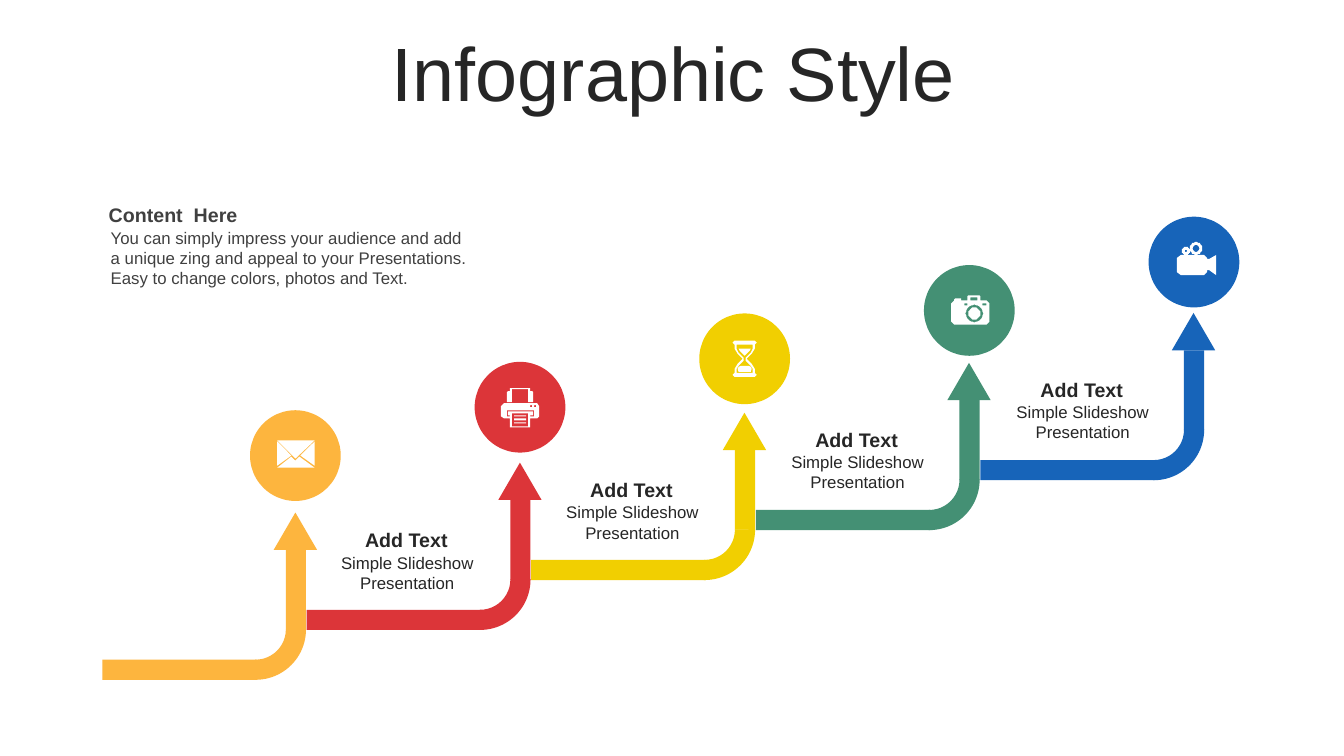
import math

import pptx
import pptx.dml.color
import pptx.enum.shapes
import pptx.enum.text
import pptx.util

RGBColor = pptx.dml.color.RGBColor
SHAPE = pptx.enum.shapes.MSO_SHAPE
ALIGN = pptx.enum.text.PP_ALIGN
ANCHOR = pptx.enum.text.MSO_ANCHOR

ORANGE = RGBColor(0xFD, 0xB5, 0x3E)
RED = RGBColor(0xDC, 0x35, 0x39)
YELLOW = RGBColor(0xF1, 0xCF, 0x01)
GREEN = RGBColor(0x44, 0x90, 0x74)
BLUE = RGBColor(0x17, 0x64, 0xB9)
WHITE = RGBColor(0xFF, 0xFF, 0xFF)
INK = RGBColor(0x26, 0x26, 0x26)
GREY = RGBColor(0x40, 0x40, 0x40)

CELL = pptx.util.Inches(0.1)
ICON_UNIT = CELL / 10


def box(left, top, right, bottom):
    return [(left, top), (right, top), (right, bottom), (left, bottom)]


def ring(x, y, radius, sides=32):
    angles = [2 * math.pi * side / sides for side in range(sides)]
    return [(x + radius * math.cos(a), y + radius * math.sin(a)) for a in angles]


ENVELOPE = [
    [(4, 1), (19, 12), (-18, 12), (-4, 1), (0, 5)],
    [(19, -14), (19, 10), (5, 0)],
    [(-18, -14), (-4, 0), (-18, 10)],
    [(-18, -15), (19, -15), (0, 3)],
]
PRINTER = [
    box(-6, 15, 6, 16), box(-6, 11, 6, 13), box(-6, 8, 6, 9), box(-8, 6, 8, 19),
    [(-13, 3), (-13, 9), (-10, 9), (-10, 8), (-12, 8), (-12, 4),
     (13, 4), (13, 8), (10, 8), (10, 9), (14, 9), (14, 3)],
    ring(11, -1, 1), ring(15, -1, 1),
    [(-16, -4), (17, -4), (19, -1), (19, 9), (17, 11), (10, 11), (10, 20),
     (-10, 20), (-10, 11), (-16, 11), (-19, 9), (-19, -1)],
    [(-10, -19), (10, -19), (10, -16), (12, -16), (13, -15), (13, -5), (8, -5),
     (8, -18), (-8, -18), (-8, -5), (-13, -5), (-13, -15), (-12, -16), (-10, -16)],
]
HOURGLASS = [
    [(-4, 7), (4, 7), (6, 8), (7, 10), (6, 13), (-6, 13), (-7, 10), (-6, 8)],
    [(-6, -10), (6, -10), (5, -8), (0, -3), (-5, -8)],
    [(-8, -14), (-8, -10), (-6, -6), (-1, -1), (-1, 2), (-6, 7), (-8, 10), (-8, 14),
     (8, 14), (8, 10), (6, 7), (1, 2), (1, -1), (6, -6), (8, -10), (8, -14)],
    [(-10, -18), (10, -18), (12, -16), (10, -14), (10, -10), (7, -5), (2, 0),
     (7, 5), (10, 10), (10, 14), (12, 16), (10, 18), (-10, 18), (-12, 16),
     (-10, 14), (-10, 10), (-7, 5), (-2, 0), (-7, -5), (-10, -10), (-10, -14),
     (-12, -16)],
]
CAMERA = [
    ring(5, 3, 6), ring(5, 3, 8.5),
    box(-5, -7, -2, -5), box(13, -7, 17, -5), box(1, -13, 8, -10),
    [(-1, -15), (10, -15), (11, -14), (11, -10), (17, -10), (20, -7), (20, 11),
     (17, 14), (-15, 14), (-18, 11), (-18, -7), (-15, -10), (-15, -11), (-14, -12),
     (-8, -12), (-8, -10), (-2, -10), (-2, -14)],
]
VIDEO = [
    ring(-8, -11, 1.5), ring(-8, -11, 4), ring(2, -13.5, 3.5), ring(2, -13.5, 6.3),
    [(-13, -7), (10, -7), (13, -4), (13, -3), (15, -3), (22, -7), (22, 13), (15, 8),
     (13, 8), (13, 10), (10, 13), (-13, 13), (-17, 10), (-17, -4)],
]
STEPS = [(ORANGE, ENVELOPE), (RED, PRINTER), (YELLOW, HOURGLASS),
         (GREEN, CAMERA), (BLUE, VIDEO)]


class StairSlide:
    """Draws the elements of a staircase slide on a grid of tenth-inch cells."""

    font_name = "Arial"

    def __init__(self, presentation):
        self.slide = presentation.slides.add_slide(presentation.slide_layouts[6])
        self.shapes = self.slide.shapes

    def cells(self, *lengths):
        return [round(length * CELL) for length in lengths]

    def paint(self, shape, color):
        shape.shadow.inherit = False
        shape.fill.solid()
        shape.fill.fore_color.rgb = color
        shape.line.fill.background()
        return shape

    def block(self, kind, column, row, columns, rows, color):
        shape = self.shapes.add_shape(kind, *self.cells(column, row, columns, rows))
        return self.paint(shape, color)

    def text(self, words, column, row, columns, rows, size, color=INK,
             bold=False, align=ALIGN.CENTER, anchor=ANCHOR.TOP, spacing=1.0):
        shape = self.shapes.add_textbox(*self.cells(column, row, columns, rows))
        frame = shape.text_frame
        frame.word_wrap = True
        frame.vertical_anchor = anchor
        paragraph = frame.paragraphs[0]
        paragraph.alignment = align
        paragraph.line_spacing = spacing
        run = paragraph.add_run()
        run.text = words
        run.font.name = self.font_name
        run.font.size = pptx.util.Pt(size)
        run.font.bold = bold
        run.font.color.rgb = color

    def icon(self, outlines, column, row):
        first = outlines[0]
        builder = self.shapes.build_freeform(*first[0], scale=ICON_UNIT)
        builder.add_line_segments(first[1:], close=True)
        for outline in outlines[1:]:
            builder.move_to(*outline[0])
            builder.add_line_segments(outline[1:], close=True)
        self.paint(builder.convert_to_shape(*self.cells(column, row)), WHITE)

    def bent_arrow(self, column, row, run_up, color):
        self.block(SHAPE.RECTANGLE, column - run_up, row + 8, run_up + 5.1, 2, color)
        bend = self.block(SHAPE.BLOCK_ARC, column, row, 10, 10, color)
        bend.rotation = 90
        for index, value in enumerate((161.7, 0.5, 0.2)):
            bend.adjustments[index] = value
        self.block(SHAPE.RECTANGLE, column + 8, row - 2.9, 2, 7.9, color)
        self.block(SHAPE.ISOSCELES_TRIANGLE, column + 6.8, row - 6.6, 4.3, 3.7, color)

    def badge(self, column, row, color, outlines):
        self.block(SHAPE.OVAL, column - 4.5, row - 4.5, 9, 9, color)
        self.icon(outlines, column, row)

    def caption(self, column, row):
        self.text("Add Text", column, row, 18.8, 3.4, 14, bold=True)
        self.text("Simple Slideshow Presentation", column + 0.1, row + 2.4, 18.8, 5, 12)


def main():
    presentation = pptx.Presentation()
    presentation.slide_width = pptx.util.Inches(13.33)
    presentation.slide_height = pptx.util.Inches(7.5)
    stairs = StairSlide(presentation)

    stairs.text("Infographic Style", 3.5, 3.7, 126.6, 7.9, 54,
                anchor=ANCHOR.MIDDLE, spacing=0.9)
    stairs.text("Content  Here", 9.8, 19.6, 37.7, 3.4, 14, GREY, bold=True,
                align=ALIGN.LEFT, anchor=ANCHOR.MIDDLE)
    stairs.text("You can simply impress your audience and add a unique zing and appeal "
                "to your Presentations. Easy to change colors, photos and Text.",
                10, 22.1, 37.6, 7.1, 12, GREY, align=ALIGN.LEFT)

    for step, (color, outlines) in reversed(list(enumerate(STEPS))):
        run_up = 12.2 if step else 10.2
        stairs.bent_arrow(20.35 + 22.27 * step, 57.45 - 4.95 * step, run_up, color)
        stairs.badge(29.3 + 22.28 * step, 45.2 - 4.8 * step, color, outlines)
    for step in range(len(STEPS) - 1):
        stairs.caption(30.9 + 22.33 * step, 51.9 - 4.97 * step)

    presentation.save("out.pptx")


if __name__ == "__main__":
    main()
